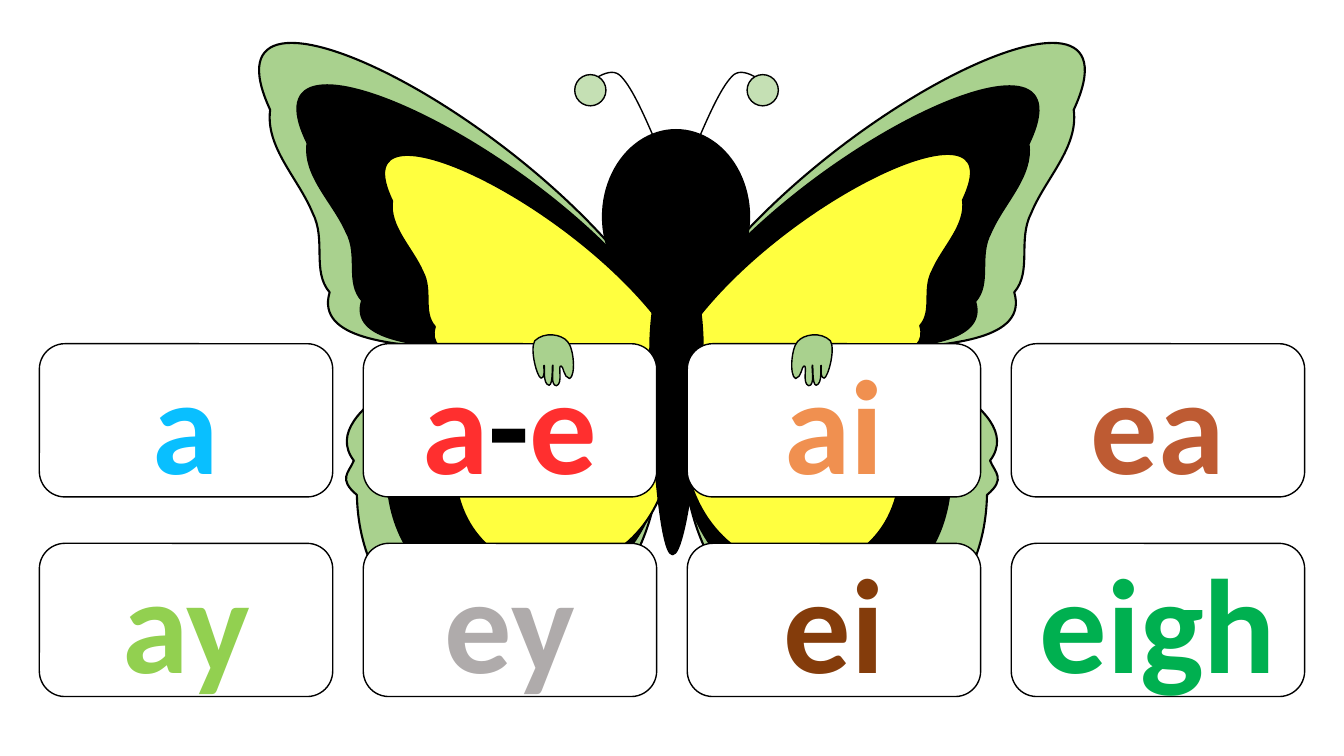
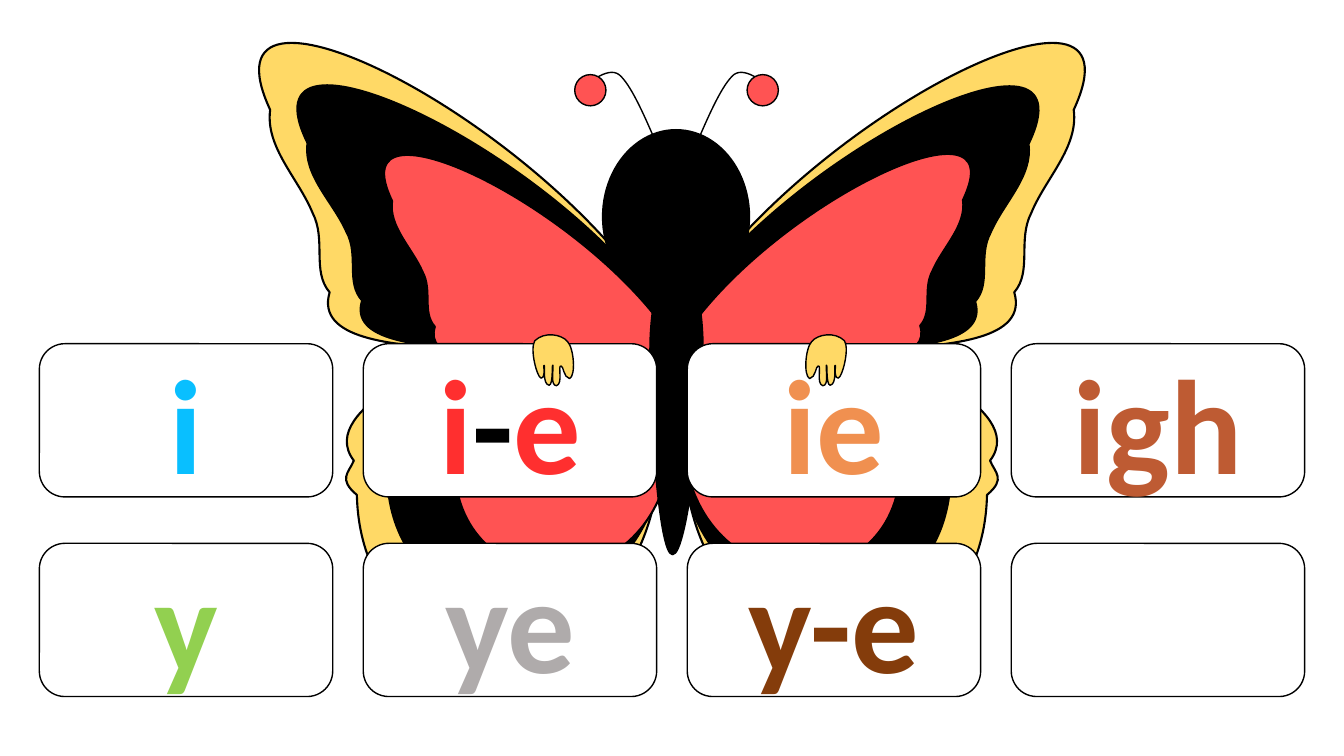
from dataclasses import dataclass

from lxml.etree import SubElement
from pptx import Presentation
from pptx.dml.color import RGBColor
from pptx.enum.shapes import MSO_SHAPE
from pptx.enum.text import MSO_ANCHOR, PP_ALIGN
from pptx.oxml.ns import qn
from pptx.util import Inches, Pt


@dataclass(frozen=True)
class Theme:
    font: str = "Calibri"
    letter_size: int = 96
    letter_outline: float = 0.75
    thin: float = 1
    thick: float = 1.5
    white: str = "FFFFFF"
    black: str = "000000"
    blue: str = "09BFFF"
    red: str = "FF2F2F"
    orange: str = "F09050"
    rust: str = "BE5B33"
    lime: str = "92D050"
    grey: str = "AFABAB"
    brown: str = "843C0B"
    green: str = "00B050"


THEME = Theme()
WIDTH, HEIGHT = 13.33, 7.5

# Each card is a list of (letters, colour) runs, row by row.
SLIDES = [
    {
        "outer": "A9D18E", "inner": "FFFF3F", "tip": "C5E0B4", "hand_axis": 6.77,
        "cards": [
            [[("a", THEME.blue)],
             [("a", THEME.red), ("-", THEME.black), ("e", THEME.red)],
             [("ai", THEME.orange)],
             [("ea", THEME.rust)]],
            [[("ay", THEME.lime)],
             [("ey", THEME.grey)],
             [("ei", THEME.brown)],
             [("eigh", THEME.green)]],
        ],
    },
    {
        "outer": "FFD966", "inner": "FF5353", "tip": "FF5353", "hand_axis": 6.84,
        "cards": [
            [[("i", THEME.blue)],
             [("i", THEME.red), ("-", THEME.black), ("e", THEME.red)],
             [("ie", THEME.orange)],
             [("igh", THEME.rust)]],
            [[("y", THEME.lime)],
             [("ye", THEME.grey)],
             [("y-e", THEME.brown)],
             []],
        ],
    },
]

CARD_MARGIN, CARD_WIDTH, CARD_HEIGHT = 0.39, 2.91, 1.52
CARD_TOP, CARD_ROW_PITCH = 3.41, 1.98

# Outlines: a start point, then lines (one point) or cubic curves (three points).
WING_FRAME = (2.57, 0.43, 4.01, 5.98)
WING = [
    [(2.68, 1.09)],
    [(1.91, -0.57), (5.38, 1.17), (6.58, 3.13)],
    [(6.55, 4.48)],
    [(6.47, 6.94), (3.59, 7), (3.54, 4.91)],
    [(3.35, 4.75), (3.46, 4.69), (3.51, 4.57)],
    [(3.1, 4.03), (4.64, 3.51), (4.48, 3.46)],
    [(3.91, 3.42), (3.13, 3.37), (3.27, 2.9)],
    [(3.09, 2.69), (3.24, 2.38), (3.1, 2.11)],
    [(2.96, 1.77), (2.63, 1.46), (2.68, 1.09)],
]
BODY = [
    [(6.45, 3.47)],
    [(6.45, 2.98), (6.57, 2.54), (6.71, 2.54)],
    [(6.85, 2.54), (6.97, 2.96), (6.97, 3.47)],
    [(6.97, 3.99), (6.82, 5.5), (6.67, 5.5)],
    [(6.53, 5.5), (6.44, 3.97), (6.45, 3.47)],
]
ANTENNA = [
    [(6.5, 1.4)],
    [(6.38, 1.12), (6.25, 0.83), (6.14, 0.74)],
    [(6.02, 0.65), (5.8, 0.86), (5.8, 0.86)],
]
HAND = [
    [(5.7, 3.69)],
    [(5.75, 3.64), (5.64, 3.39), (5.56, 3.35)],
    [(5.48, 3.3), (5.31, 3.33), (5.25, 3.45)],
    [(5.23, 3.55), (5.39, 3.78), (5.43, 3.78)],
    [(5.48, 3.76), (5.4, 3.64), (5.42, 3.65)],
    [(5.43, 3.65), (5.46, 3.83), (5.53, 3.82)],
    [(5.57, 3.8), (5.48, 3.6), (5.5, 3.62)],
    [(5.52, 3.65), (5.54, 3.82), (5.6, 3.8)],
    [(5.66, 3.76), (5.54, 3.6), (5.58, 3.6)],
    [(5.6, 3.59), (5.64, 3.7), (5.7, 3.69)],
]
# Left and right frames of the wing layers, from back to front.
WING_LAYERS = [
    ("outer", WING_FRAME, (6.75, 0.43, 4.01, 5.98)),
    ("black", (2.95, 0.85, 3.68, 5.16), (6.7, 0.86, 3.6, 5.16)),
    ("inner", (3.81, 1.54, 2.88, 4.12), (6.75, 1.53, 2.88, 4.12)),
]
HEAD = (5.98, 1.29, 1.45, 1.72)
ANTENNA_AXIS = 6.71
TIP_TOP, TIP_SIZE, TIP_LEFTS = 0.74, 0.31, (5.7, 7.41)
HAND_TILT = 19.3
CURVE_STEPS = 24
SEGMENT_TAGS = {1: "a:lnTo", 3: "a:cubicBezTo"}


def curve_bounds(outline):
    """Return the least and greatest corner that the drawn curves reach."""
    points = list(outline[0])
    for segment in outline[1:]:
        if len(segment) == 1:
            points.append(segment[0])
            continue
        controls = [points[-1], *segment]
        for step in range(1, CURVE_STEPS + 1):
            t = step / CURVE_STEPS
            weights = ((1 - t) ** 3, 3 * t * (1 - t) ** 2, 3 * t * t * (1 - t), t ** 3)
            points.append(tuple(
                sum(weight * control[axis] for weight, control in zip(weights, controls))
                for axis in (0, 1)))
    columns, rows = zip(*points)
    return (min(columns), min(rows)), (max(columns), max(rows))


def mirror(outline, axis):
    return [[(2 * axis - x, y) for x, y in segment] for segment in outline]


def fit_wing(outline, frame):
    """Stretch the largest left wing into another frame."""
    left, top, width, height = frame
    frame_left, frame_top, frame_width, frame_height = WING_FRAME
    return [[(left + (x - frame_left) / frame_width * width,
              top + (y - frame_top) / frame_height * height) for x, y in segment]
            for segment in outline]


def style(shape, fill, line_width):
    shape.shadow.inherit = False
    if fill is None:
        shape.fill.background()
    else:
        shape.fill.solid()
        shape.fill.fore_color.rgb = RGBColor.from_string(fill)
    shape.line.color.rgb = RGBColor.from_string(THEME.black)
    shape.line.width = Pt(line_width)
    return shape


def draw_outline(shapes, outline, fill, line_width, closed=True):
    """Build a freeform with the outline's frame, then give it the curves."""
    (left, top), (right, bottom) = curve_bounds(outline)
    builder = shapes.build_freeform(Inches(left), Inches(top))
    builder.add_line_segments([(Inches(right), Inches(bottom))], close=False)
    shape = builder.convert_to_shape()
    track = shape._element.find(".//" + qn("a:path"))
    for child in list(track):
        track.remove(child)
    for number, segment in enumerate(outline):
        tag = SEGMENT_TAGS[len(segment)] if number else "a:moveTo"
        step = SubElement(track, qn(tag))
        for x, y in segment:
            SubElement(step, qn("a:pt"), x=str(Inches(x - left)), y=str(Inches(y - top)))
    if closed:
        SubElement(track, qn("a:close"))
    return style(shape, fill, line_width)


def draw_preset(shapes, kind, frame, fill, line_width):
    shape = shapes.add_shape(kind, *(Inches(length) for length in frame))
    return style(shape, fill, line_width)


def draw_butterfly(page, colours):
    shapes = page.shapes.add_group_shape().shapes
    mirrored_wing = mirror(WING, WING_FRAME[0] + WING_FRAME[2] / 2)
    for layer, left_frame, right_frame in WING_LAYERS:
        fill = colours.get(layer, THEME.black)
        draw_outline(shapes, fit_wing(WING, left_frame), fill, THEME.thick)
        draw_outline(shapes, fit_wing(mirrored_wing, right_frame), fill, THEME.thick)
    draw_outline(shapes, BODY, THEME.black, THEME.thick)
    draw_preset(shapes, MSO_SHAPE.OVAL, HEAD, THEME.black, THEME.thick)
    for antenna, left in zip((ANTENNA, mirror(ANTENNA, ANTENNA_AXIS)), TIP_LEFTS):
        draw_outline(shapes, antenna, None, THEME.thin, closed=False)
        draw_preset(shapes, MSO_SHAPE.OVAL, (left, TIP_TOP, TIP_SIZE, TIP_SIZE),
                    colours["tip"], THEME.thin)


def outline_letters(span):
    line = SubElement(span.font._element, qn("a:ln"), w=str(Pt(THEME.letter_outline)))
    fill = SubElement(line, qn("a:solidFill"))
    SubElement(fill, qn("a:srgbClr"), val=THEME.black)
    span.font._element.insert(0, line)


def write_letters(card, runs):
    card.text_frame.vertical_anchor = MSO_ANCHOR.MIDDLE
    para = card.text_frame.paragraphs[0]
    para.alignment = PP_ALIGN.CENTER
    para.font.name = THEME.font
    para.font.size = Pt(THEME.letter_size)
    para.font.bold = True
    for letters, colour in runs:
        span = para.add_run()
        span.text = letters
        span.font.color.rgb = RGBColor.from_string(colour)
        outline_letters(span)


def draw_cards(page, rows):
    shapes = page.shapes.add_group_shape().shapes
    for row, cards in enumerate(rows):
        pitch = (WIDTH - 2 * CARD_MARGIN - CARD_WIDTH) / (len(cards) - 1)
        for column, runs in enumerate(cards):
            frame = (CARD_MARGIN + column * pitch, CARD_TOP + row * CARD_ROW_PITCH,
                     CARD_WIDTH, CARD_HEIGHT)
            card = draw_preset(shapes, MSO_SHAPE.ROUNDED_RECTANGLE, frame,
                               THEME.white, THEME.thin)
            if runs:
                write_letters(card, runs)


def draw_hands(page, fill, axis):
    for hand, tilt in ((mirror(HAND, axis), -HAND_TILT), (HAND, HAND_TILT)):
        draw_outline(page.shapes, hand, fill, THEME.thin).rotation = tilt


def main():
    deck = Presentation()
    deck.slide_width, deck.slide_height = Inches(WIDTH), Inches(HEIGHT)
    for content in SLIDES:
        page = deck.slides.add_slide(deck.slide_layouts[6])
        page.background.fill.solid()
        page.background.fill.fore_color.rgb = RGBColor.from_string(THEME.white)
        draw_butterfly(page, content)
        draw_cards(page, content["cards"])
        draw_hands(page, content["outer"], content["hand_axis"])
    deck.save("out.pptx")


if __name__ == "__main__":
    main()
